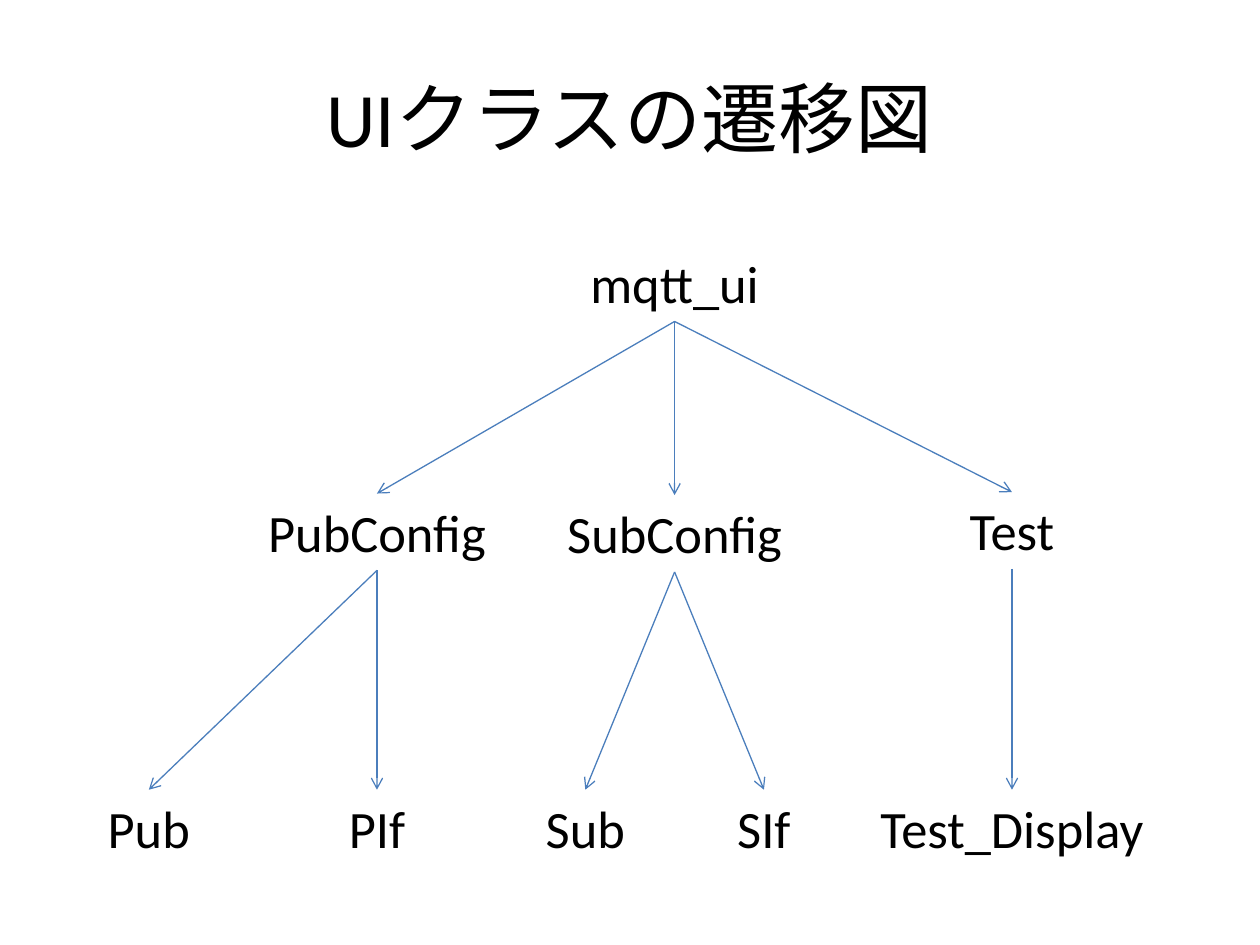
import pptx
import pptx.dml.color
import pptx.enum.shapes
import pptx.enum.text
import pptx.oxml.ns
import pptx.util
from lxml import etree

Cm = pptx.util.Cm
BLACK = pptx.dml.color.RGBColor(0x00, 0x00, 0x00)
BLUE = pptx.dml.color.RGBColor(0x4B, 0x7E, 0xBC)

# name: (centre x, top, parent), lengths in cm
CLASSES = {
    "mqtt_ui": (13.6, 4.93, None),
    "PubConfig": (7.6, 9.95, "mqtt_ui"),
    "SubConfig": (13.6, 9.98, "mqtt_ui"),
    "Test": (20.4, 9.92, "mqtt_ui"),
    "Pub": (3.0, 15.92, "PubConfig"),
    "PIf": (7.6, 15.92, "PubConfig"),
    "Sub": (11.8, 15.92, "SubConfig"),
    "SIf": (15.4, 15.92, "SubConfig"),
    "Test_Display": (20.4, 15.92, "Test"),
}


class Diagram:
    """Holds the style and the current slide."""

    font = {"name": "Calibri", "bold": False}
    node_width, node_height = 7.4, 1.55
    top_site, bottom_site = 0, 2

    def __init__(self, slide):
        """Keep the slide to draw on."""
        self.s = slide

    def set_text(self, tf, text, size):
        """Put one centred line of text into a frame."""
        tf.word_wrap = True
        p = tf.paragraphs[0]
        p.alignment = pptx.enum.text.PP_ALIGN.CENTER
        r = p.add_run()
        r.text = text
        for key, value in {**self.font, "size": pptx.util.Pt(size)}.items():
            setattr(r.font, key, value)
        r.font.color.rgb = BLACK

    def title(self, text):
        """Place and fill the title placeholder."""
        sp = self.s.shapes.title
        box = {"left": 1.27, "top": 0.76, "width": 22.86, "height": 3.18}
        for key, value in box.items():
            setattr(sp, key, Cm(value))
        sp.text_frame.vertical_anchor = pptx.enum.text.MSO_ANCHOR.MIDDLE
        self.set_text(sp.text_frame, text, 44)

    def node(self, text, centre, top):
        """Add a class name centred on a given x."""
        sp = self.s.shapes.add_textbox(
            Cm(centre - self.node_width / 2), Cm(top),
            Cm(self.node_width), Cm(self.node_height))
        sp.text_frame.auto_size = pptx.enum.text.MSO_AUTO_SIZE.SHAPE_TO_FIT_TEXT
        self.set_text(sp.text_frame, text, 30)
        return sp

    def arrow(self, parent, child):
        """Link the bottom of the parent to the top of the child."""
        line = self.s.shapes.add_connector(
            pptx.enum.shapes.MSO_CONNECTOR.STRAIGHT, 0, 0, 0, 0)
        line.begin_connect(parent, self.bottom_site)
        line.end_connect(child, self.top_site)
        line.line.color.rgb = BLUE
        line.line.width = pptx.util.Pt(0.75)
        qn = pptx.oxml.ns.qn
        ln = line.line.fill and line._element.spPr.find(qn("a:ln"))
        etree.SubElement(ln, qn("a:tailEnd"), type="arrow")
        etree.SubElement(line._element.spPr, qn("a:effectLst"))


def main():
    """Build the class transition slide."""
    prs = pptx.Presentation()
    prs.slide_width, prs.slide_height = Cm(25.4), Cm(19.05)
    diagram = Diagram(prs.slides.add_slide(prs.slide_layouts[5]))
    diagram.title("UIクラスの遷移図")
    nodes = {name: diagram.node(name, x, top)
             for name, (x, top, _) in CLASSES.items()}
    for name, (_, _, parent) in CLASSES.items():
        if parent:
            diagram.arrow(nodes[parent], nodes[name])
    prs.save("out.pptx")


main()
